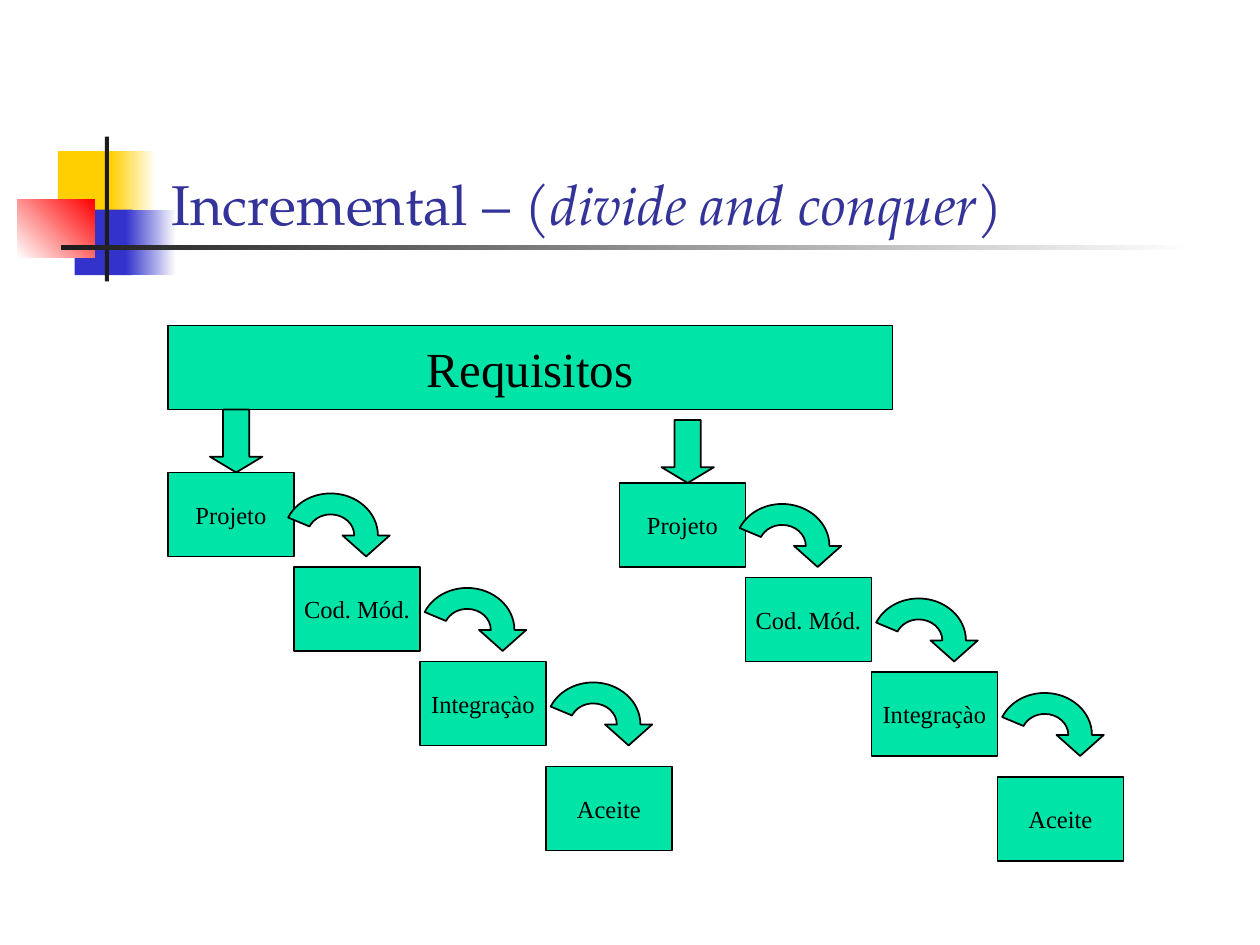
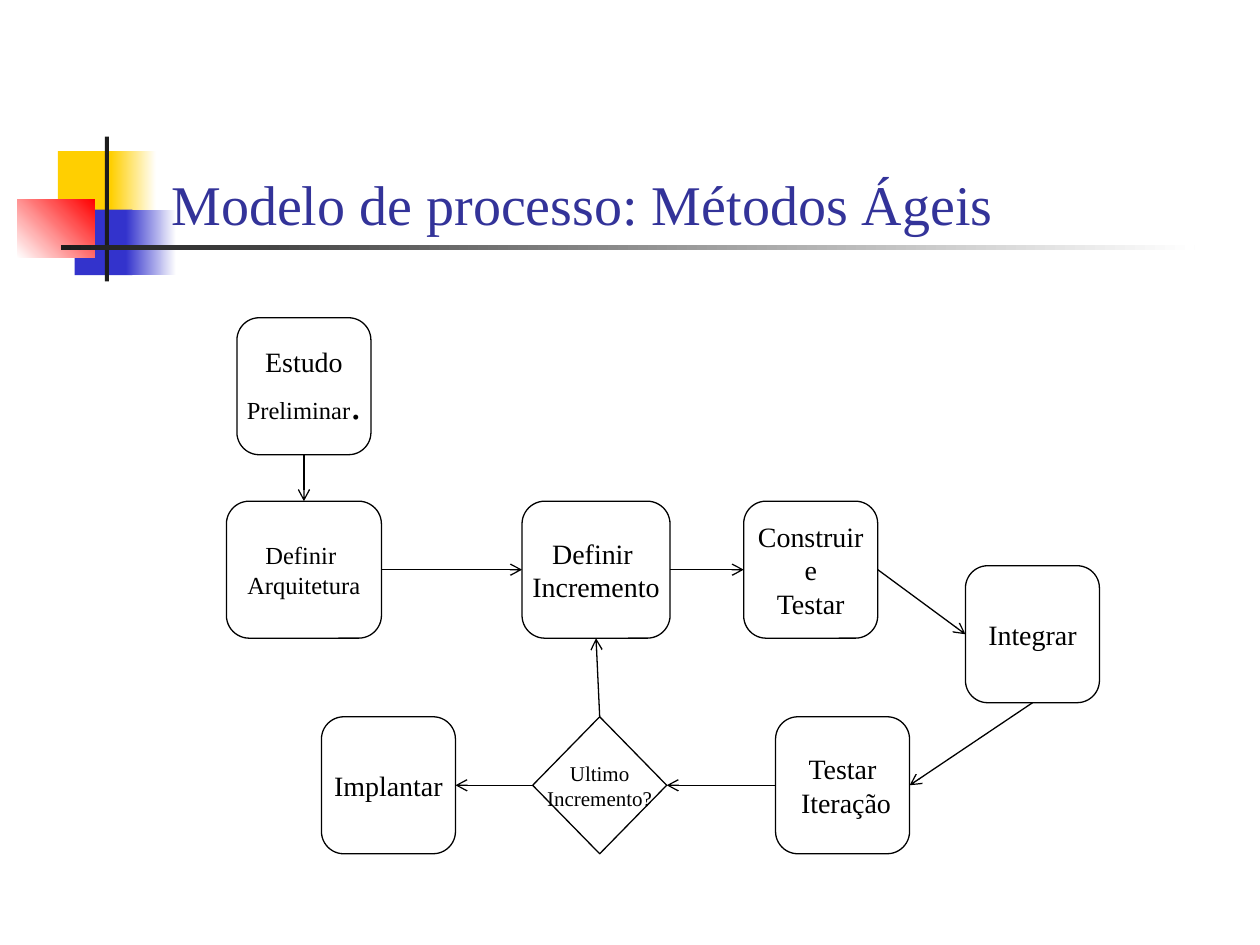
import pptx
import pptx.dml.color
import pptx.enum.shapes
import pptx.enum.text
import pptx.oxml
import pptx.oxml.ns
import pptx.util

Pt = pptx.util.Pt
SHAPE = pptx.enum.shapes.MSO_SHAPE
COLORS = {
    "title": "333399",
    "yellow": "FFCF01",
    "blue": "3333CC",
    "red": "FF0000",
    "dark": "1C1C1C",
    "white": "FFFFFF",
    "black": "000000",
    "green": "00E4A8",
}
SERIF = "Times New Roman"
PAGELLA = "TeX Gyre Pagella"
TOP, LEFT, BOTTOM, RIGHT = range(4)

ORNAMENTS = [
    (33.1, 86.4, 34.6, 37.4, ["yellow"], 0),
    (63.4, 86.4, 25.9, 37.4, ["yellow", "white"], 0),
    (42.6, 119.8, 33.1, 37.4, ["blue"], 0),
    (72, 119.8, 28.8, 37.4, ["blue", "white"], 0),
    (9.8, 113.8, 44.4, 33.4, ["white", "red"], 45),
    (59.9, 78, 2.4, 82.8, ["dark"], 0),
    (34.7, 140.2, 648, 2.4, ["dark", "white"], 0),
]

STEPS = ["Projeto", "Cod. Mód.", "Integraçào", "Aceite"]
STEP_WIDTH, STEP_HEIGHT = 72, 48
STEP_DROPS = [0, 54, 108, 168]

ARROW_START = (13.5, 0)
ARROW_OUTLINE = [
    [(13.5, -6.63), (7.46, -12), (0, -12)],
    [(-5.2, -12), (-9.9, -9.3), (-12.1, -5.1)],
    [(-24.3, -10.2)],
    [(-19.9, -18.7), (-10.4, -24), (0, -24)],
    [(14.9, -24), (27, -13.25), (27, 0)],
    [(33.75, 0)],
    [(20.25, 12)],
    [(6.75, 0)],
]

NODE_WIDTH, NODE_HEIGHT = 76.6, 78.3
MIDDLE_ROW, LOWER_ROW = 286.4, 409.6


def rgb(name):
    return pptx.dml.color.RGBColor.from_string(COLORS[name])


def paint(shape, fill, line_width):
    shape.shadow.inherit = False
    shape.fill.solid()
    shape.fill.fore_color.rgb = rgb(fill)
    shape.line.color.rgb = rgb("black")
    shape.line.width = Pt(line_width)


def add_ornament(page, left, top, width, height, colors, angle):
    band = page.shapes.add_shape(SHAPE.RECTANGLE, Pt(left), Pt(top), Pt(width), Pt(height))
    band.shadow.inherit = False
    band.line.fill.background()
    if len(colors) == 1:
        band.fill.solid()
        band.fill.fore_color.rgb = rgb(colors[0])
    else:
        band.fill.gradient()
        band.fill.gradient_angle = angle
        for stop, color in zip(band.fill.gradient_stops, colors):
            stop.color.rgb = rgb(color)
    return band


def decorate_master(master, page):
    tree = master.shapes.element
    for index, ornament in enumerate(ORNAMENTS):
        band = add_ornament(page, *ornament)
        band.element.xpath(".//p:cNvPr")[0].set("id", str(100 + index))
        tree.insert(2 + index, band.element)


def add_title(page, spans, font_name):
    title = page.shapes.title
    title.left, title.top, title.width, title.height = Pt(90.7), Pt(49), Pt(613.4), Pt(90)
    frame = title.text_frame
    frame.auto_size = pptx.enum.text.MSO_AUTO_SIZE.NONE
    frame.vertical_anchor = pptx.enum.text.MSO_ANCHOR.BOTTOM
    para = frame.paragraphs[0]
    para.alignment = pptx.enum.text.PP_ALIGN.LEFT
    para.font.size = Pt(32)
    para.font.name = font_name
    para.font.color.rgb = rgb("title")
    for text, italic in spans:
        span = para.add_run()
        span.text = text
        if italic:
            span.font.italic = True


def add_box(page, kind, left, top, width, height, lines, size, fill, line_width):
    box = page.shapes.add_shape(kind, Pt(left), Pt(top), Pt(width), Pt(height))
    paint(box, fill, line_width)
    frame = box.text_frame
    frame.word_wrap = False
    frame.vertical_anchor = pptx.enum.text.MSO_ANCHOR.MIDDLE
    for index, line in enumerate(lines):
        para = frame.paragraphs[0] if index == 0 else frame.add_paragraph()
        para.alignment = pptx.enum.text.PP_ALIGN.CENTER
        para.font.size = Pt(size)
        para.font.name = SERIF
        para.font.color.rgb = rgb("black")
        para.add_run().text = line
    return box


def add_stage(page, left, top, width, text, size):
    return add_box(page, SHAPE.RECTANGLE, left, top, width, STEP_HEIGHT, [text], size, "green", 1)


def add_node(page, left, top, lines, size=16, width=NODE_WIDTH, kind=SHAPE.ROUNDED_RECTANGLE):
    return add_box(page, kind, left, top, width, NODE_HEIGHT, lines, size, "white", 0.75)


def add_down_arrow(page, left, top):
    arrow = page.shapes.add_shape(SHAPE.DOWN_ARROW, Pt(left), Pt(top), Pt(30), Pt(36))
    arrow.adjustments[0] = 0.5
    arrow.adjustments[1] = 0.3
    paint(arrow, "green", 1)


def bend_segments(shape, segments):
    lines = iter(shape.element.xpath(".//a:path/a:lnTo"))
    for segment in segments:
        parts = [next(lines) for _ in segment]
        if len(parts) == 3:
            curve = pptx.oxml.parse_xml(f'<a:cubicBezTo {pptx.oxml.ns.nsdecls("a")}/>')
            parts[0].addprevious(curve)
            for part in parts:
                curve.append(part[0])
                part.getparent().remove(part)


def add_curved_arrow(page, center_x, center_y):
    def place(point):
        return Pt(center_x + point[0]), Pt(center_y + point[1])

    builder = page.shapes.build_freeform(*place(ARROW_START))
    points = [place(point) for segment in ARROW_OUTLINE for point in segment]
    builder.add_line_segments(points, close=True)
    arrow = builder.convert_to_shape()
    bend_segments(arrow, ARROW_OUTLINE)
    paint(arrow, "green", 1)


def add_cascade(page, left, top):
    for index, (step, drop) in enumerate(zip(STEPS, STEP_DROPS)):
        add_stage(page, left + index * STEP_WIDTH, top + drop, STEP_WIDTH, step, 14)
    for index, drop in enumerate(STEP_DROPS[:-1]):
        reach = 93 if index == 0 else 99
        add_curved_arrow(page, left + index * STEP_WIDTH + reach, top + drop + 36)
    add_down_arrow(page, left + 24, top - 36)


def join(page, start, start_side, end, end_side):
    link = page.shapes.add_connector(pptx.enum.shapes.MSO_CONNECTOR.STRAIGHT, 0, 0, 0, 0)
    link.begin_connect(start, start_side)
    link.end_connect(end, end_side)
    link.line.color.rgb = rgb("black")
    link.line.width = Pt(0.75)
    tail = pptx.oxml.parse_xml(f'<a:tailEnd {pptx.oxml.ns.nsdecls("a")} type="arrow"/>')
    link.element.xpath("./p:spPr/a:ln")[0].append(tail)
    effects = pptx.oxml.parse_xml(f'<a:effectLst {pptx.oxml.ns.nsdecls("a")}/>')
    link.element.spPr.append(effects)


def build_incremental(page):
    add_title(page, [("Incremental – ", False), ("(divide and conquer)", True)], PAGELLA)
    add_stage(page, 96, 186, 414, "Requisitos", 28)
    add_cascade(page, 96, 270)
    add_cascade(page, 354, 276)


def build_agile(page):
    add_title(page, [("Modelo de processo: Métodos Ágeis", False)], SERIF)
    study = add_node(page, 135.4, 181.6, ["Estudo", "Preliminar"])
    para = study.text_frame.paragraphs[1]
    para.runs[0].font.size = Pt(14)
    dot = para.add_run()
    dot.text = "."
    dot.font.size = Pt(24)

    architecture = add_node(page, 129.4, MIDDLE_ROW, ["Definir ", "Arquitetura"], 14, 88.6)
    increment = add_node(page, 298.3, MIDDLE_ROW, ["Definir ", "Incremento"], width=84.6)
    construction = add_node(page, 425, MIDDLE_ROW, ["Construir", "e", "Testar"])
    integration = add_node(page, 551.7, 323.3, ["Integrar"])
    testing = add_node(page, 443.2, LOWER_ROW, ["Testar", " Iteração"])
    decision = add_node(page, 304.4, LOWER_ROW, ["Ultimo", "Incremento?"], 12, kind=SHAPE.DIAMOND)
    deployment = add_node(page, 183.7, LOWER_ROW, ["Implantar"])

    join(page, study, BOTTOM, architecture, TOP)
    join(page, architecture, RIGHT, increment, LEFT)
    join(page, increment, RIGHT, construction, LEFT)
    join(page, construction, RIGHT, integration, LEFT)
    join(page, integration, BOTTOM, testing, RIGHT)
    join(page, testing, LEFT, decision, RIGHT)
    join(page, decision, TOP, increment, BOTTOM)
    join(page, decision, LEFT, deployment, RIGHT)


def main():
    deck = pptx.Presentation()
    deck.slide_width, deck.slide_height = Pt(720), Pt(540)
    layout = deck.slide_layouts.get_by_name("Title Only")
    incremental = deck.slides.add_slide(layout)
    decorate_master(deck.slide_master, incremental)
    build_incremental(incremental)
    build_agile(deck.slides.add_slide(layout))
    deck.save("out.pptx")


if __name__ == "__main__":
    main()
